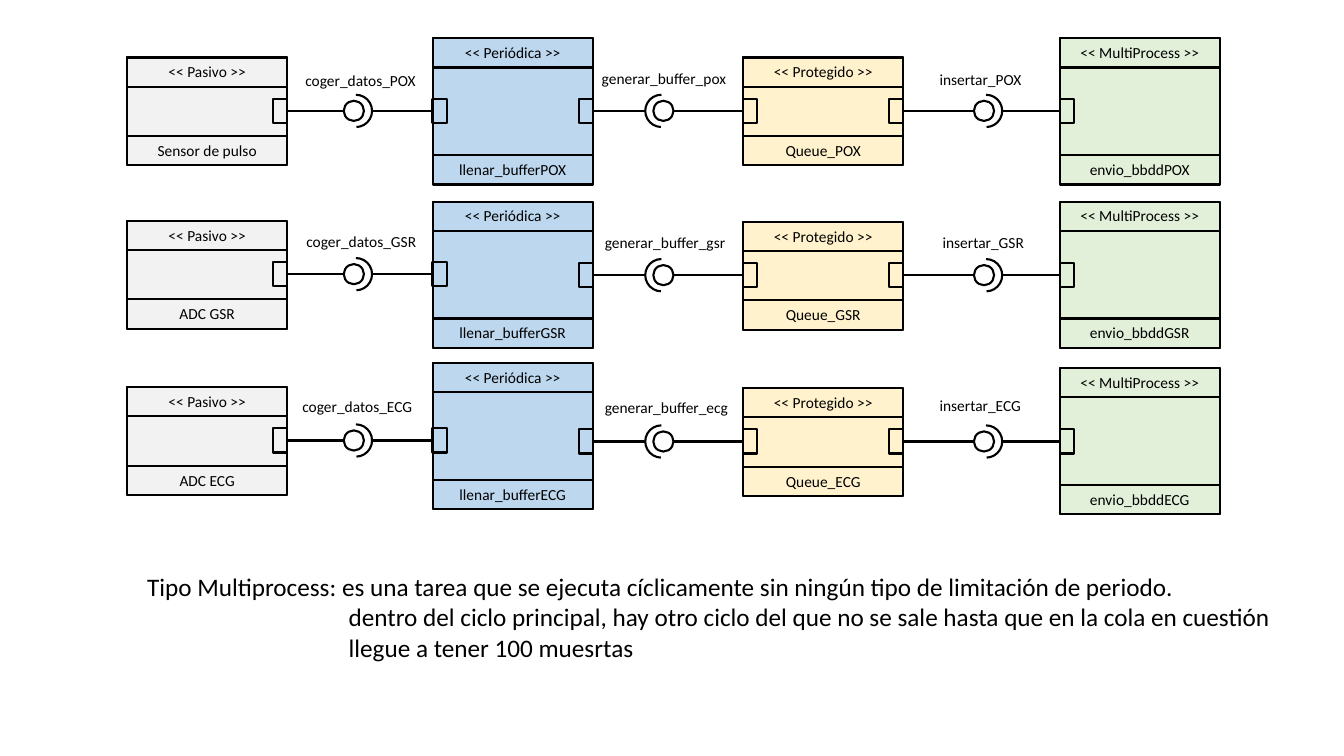
from dataclasses import dataclass
from typing import Optional

from lxml.etree import SubElement
from pptx import Presentation
from pptx.dml.color import RGBColor
from pptx.enum.shapes import MSO_CONNECTOR, MSO_SHAPE
from pptx.enum.text import MSO_ANCHOR, MSO_AUTO_SIZE, PP_ALIGN
from pptx.oxml.ns import qn
from pptx.util import Pt

EMU_PER_PX = 9144  # 100 px to the inch


@dataclass(frozen=True)
class Theme:
    font: str = "Calibri"
    ink: str = "000000"
    passive: str = "F2F2F2"
    periodic: str = "BDD7EE"
    protected: str = "FFF2CC"
    process: str = "E2F0D9"
    label_size: int = 11
    note_size: int = 18
    line_width: float = 1.5


@dataclass(frozen=True)
class Component:
    stereotype: str
    left: int
    height: int
    fill: str
    band_fill: Optional[str]
    tops: tuple
    names: tuple


@dataclass(frozen=True)
class Interface:
    """A ball and socket between two components, with one label (text, left, top, width) a row."""
    socket_left: int
    mirrored: bool
    axes: tuple
    labels: tuple


THEME = Theme()
BLOCK_WIDTH, BAND_HEIGHT = 159, 29
PORT_WIDTH, PORT_HEIGHT = 14, 24
BALL, SOCKET, BALL_INSET = 20, 32, 4
NOTE_INDENT = 200

COMPONENTS = (
    Component("<< Pasivo >>", 126, 107, THEME.passive, THEME.passive,
              (57, 219, 384), ("Sensor de pulso", "ADC GSR", "ADC ECG")),
    Component("<< Periódica >>", 429, 145, THEME.periodic, None,
              (38, 200, 360), ("llenar_bufferPOX", "llenar_bufferGSR", "llenar_bufferECG")),
    Component("<< Protegido >>", 737, 107, THEME.protected, THEME.protected,
              (57, 220, 385), ("Queue_POX", "Queue_GSR", "Queue_ECG")),
    Component("<< MultiProcess >>", 1051, 145, THEME.process, THEME.process,
              (38, 200, 365), ("envio_bbddPOX", "envio_bbddGSR", "envio_bbddECG")),
)
INTERFACES = (
    Interface(337, False, (110, 272, 437), (
        ("coger_datos_POX", 293, 66, 131),
        ("coger_datos_GSR", 294, 225, 130),
        ("coger_datos_ECG", 290, 389, 131))),
    Interface(640, True, (110, 273, 438), (
        ("generar_buffer_pox", 587, 64, 146),
        ("generar_buffer_gsr", 590, 226, 142),
        ("generar_buffer_ecg", 590, 390, 145))),
    Interface(962, False, (110, 273, 438), (
        ("insertar_POX", 922, 65, 103),
        ("insertar_GSR", 925, 226, 102),
        ("insertar_ECG", 922, 388, 102))),
)
NOTE = (
    "Tipo Multiprocess: es una tarea que se ejecuta cíclicamente sin ningún tipo de limitación de periodo.",
    "dentro del ciclo principal, hay otro ciclo del que no se sale hasta que en la cola en cuestión",
    "llegue a tener 100 muesrtas",
)


def px(*lengths):
    return [length * EMU_PER_PX for length in lengths]


def style_line(line):
    line.color.rgb = RGBColor.from_string(THEME.ink)
    line.width = Pt(THEME.line_width)


def style_text(paragraph, size):
    for run in paragraph.runs:
        run.font.name = THEME.font
        run.font.size = Pt(size)
        run.font.color.rgb = RGBColor.from_string(THEME.ink)


def add_outline(shapes, preset, left, top, width, height, fill=None):
    outline = shapes.add_shape(preset, *px(left, top, width, height))
    outline.shadow.inherit = False
    if fill:
        outline.fill.solid()
        outline.fill.fore_color.rgb = RGBColor.from_string(fill)
    else:
        outline.fill.background()
    style_line(outline.line)
    return outline


def add_band(shapes, text, left, top, fill):
    band = add_outline(shapes, MSO_SHAPE.RECTANGLE, left, top, BLOCK_WIDTH, BAND_HEIGHT, fill)
    frame = band.text_frame
    frame.text = text
    frame.word_wrap = True
    frame.vertical_anchor = MSO_ANCHOR.TOP
    frame.auto_size = MSO_AUTO_SIZE.SHAPE_TO_FIT_TEXT
    frame.paragraphs[0].alignment = PP_ALIGN.CENTER
    style_text(frame.paragraphs[0], THEME.label_size)


def add_component(slide, component, row):
    shapes = slide.shapes.add_group_shape().shapes
    left, top, height = component.left, component.tops[row], component.height
    add_outline(shapes, MSO_SHAPE.RECTANGLE, left, top, BLOCK_WIDTH, height, component.fill)
    add_band(shapes, component.stereotype, left, top, component.band_fill)
    add_band(shapes, component.names[row], left, top + height - BAND_HEIGHT, component.band_fill)


def add_port(slide, left, axis):
    return add_outline(slide.shapes, MSO_SHAPE.RECTANGLE, left, axis - PORT_HEIGHT // 2,
                       PORT_WIDTH, PORT_HEIGHT)


def add_wire(slide, port, side, end_x, axis):
    wire = slide.shapes.add_connector(MSO_CONNECTOR.STRAIGHT, 0, 0, *px(end_x, axis))
    wire.begin_connect(port, side)
    style_line(wire.line)
    SubElement(wire._element.spPr, qn("a:effectLst"))


def add_interface(slide, interface, row, source, target):
    axis, socket_left = interface.axes[row], interface.socket_left
    source_port = add_port(slide, source.left + BLOCK_WIDTH - PORT_WIDTH, axis)
    target_port = add_port(slide, target.left, axis)

    inset = SOCKET - BALL - BALL_INSET if interface.mirrored else BALL_INSET
    ball_left = socket_left + inset
    add_outline(slide.shapes, MSO_SHAPE.OVAL, ball_left, axis - BALL // 2, BALL, BALL)
    socket = add_outline(slide.shapes, MSO_SHAPE.ARC, socket_left, axis - SOCKET // 2, SOCKET, SOCKET)
    arc_ends = (55.17, 162) if interface.mirrored else (162, 52.83)
    socket.adjustments[0], socket.adjustments[1] = arc_ends

    if interface.mirrored:
        wire_ends = socket_left, ball_left + BALL
    else:
        wire_ends = ball_left, socket_left + SOCKET
    add_wire(slide, source_port, 3, wire_ends[0], axis)
    add_wire(slide, target_port, 1, wire_ends[1], axis)


def add_text(slide, lines, left, top, width, height, size, hanging=0):
    """Place unwrapped lines; every line after the first is indented by hanging px."""
    frame = slide.shapes.add_textbox(*px(left, top, width, height)).text_frame
    frame.word_wrap = False
    frame.auto_size = MSO_AUTO_SIZE.SHAPE_TO_FIT_TEXT
    frame.text = "\n".join(lines)
    for index, paragraph in enumerate(frame.paragraphs):
        if index:
            paragraph._p.get_or_add_pPr().set("marL", str(hanging * EMU_PER_PX))
        style_text(paragraph, size)


def main():
    presentation = Presentation()
    presentation.slide_width, presentation.slide_height = px(1333, 750)
    slide = presentation.slides.add_slide(presentation.slide_layouts[6])

    for row in range(3):
        for component in COMPONENTS:
            add_component(slide, component, row)
        for interface, source, target in zip(INTERFACES, COMPONENTS, COMPONENTS[1:]):
            add_interface(slide, interface, row, source, target)
            name, left, top, width = interface.labels[row]
            add_text(slide, [name], left, top, width, BAND_HEIGHT, THEME.label_size)
    add_text(slide, NOTE, 136, 562, 1148, 101, THEME.note_size, NOTE_INDENT)

    presentation.save("out.pptx")


if __name__ == "__main__":
    main()
